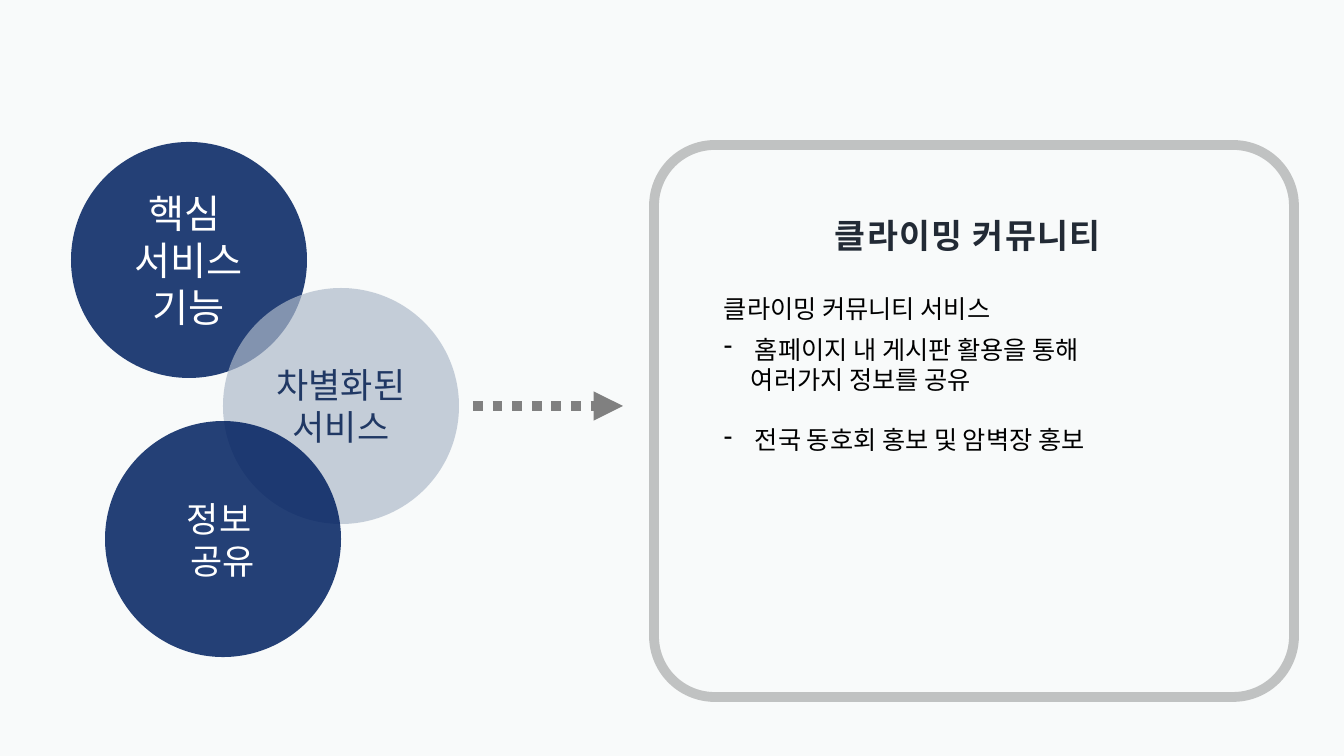
"""Build the climbing community service slide."""
from lxml import etree
from pptx import Presentation
from pptx.dml.color import RGBColor
from pptx.enum.dml import MSO_LINE
from pptx.enum.shapes import MSO_CONNECTOR, MSO_SHAPE
from pptx.enum.text import MSO_ANCHOR, PP_ALIGN
from pptx.oxml.ns import qn
from pptx.util import Emu, Pt

FONT = "Noto Sans CJK KR"
OVAL = MSO_SHAPE.OVAL
ROUNDED = MSO_SHAPE.ROUNDED_RECTANGLE
STRAIGHT = MSO_CONNECTOR.STRAIGHT
DOTTED = MSO_LINE.ROUND_DOT
MIDDLE = MSO_ANCHOR.MIDDLE
TOP = MSO_ANCHOR.TOP
LEFT = PP_ALIGN.LEFT
CENTER = PP_ALIGN.CENTER

NAVY = "002060"
GRAY = "808080"
CIRCLE_SIZE = 236
BULLET_INDENT = 31
CONTINUATION_INDENT = 27


def px(length):
    """Turn slide pixels into EMU."""
    return Emu(round(length * 12192000 / 1344))


def color(hex_code):
    """Turn a hex string into a colour."""
    return RGBColor.from_string(hex_code)


def paint(fill, hex_code, opacity=100):
    """Give a fill a solid colour and an opacity in percent."""
    fill.solid()
    fill.fore_color.rgb = color(hex_code)
    if opacity < 100:
        code = fill._xPr.find(qn("a:solidFill")).find(qn("a:srgbClr"))
        etree.SubElement(code, qn("a:alpha")).set("val", str(opacity * 1000))


def set_indent(para, indent, bullet):
    """Indent a paragraph, hanging a bullet in the indent if one is given."""
    properties = para._p.get_or_add_pPr()
    properties.set("marL", str(px(indent)))
    if bullet:
        properties.set("indent", str(-px(indent)))
        etree.SubElement(properties, qn("a:buChar")).set("char", bullet)


def write(para, text, size=18, ink="000000", bold=False, align=LEFT,
          spacing=0, before=0, indent=0, bullet=None):
    """Write one formatted run into a paragraph."""
    para.alignment = align
    if before:
        para.space_before = Pt(before)
    if indent:
        set_indent(para, indent, bullet)
    span = para.add_run()
    span.text = text
    span.font.size = Pt(size)
    span.font.bold = bold
    span.font.name = FONT
    span.font.color.rgb = color(ink)
    properties = span._r.get_or_add_rPr()
    etree.SubElement(properties, qn("a:ea")).set("typeface", FONT)
    if spacing:
        properties.set("spc", str(spacing * 100))


def fill_frame(frame, lines, anchor=TOP, **shared):
    """Write (text, format) lines into a text frame."""
    frame.word_wrap = True
    frame.vertical_anchor = anchor
    for number, (text, own) in enumerate(lines):
        para = frame.add_paragraph() if number else frame.paragraphs[0]
        write(para, text, **shared, **own)


def add_text(page, left, top, width, height, lines, **shared):
    """Add a wrapping text box."""
    box = page.shapes.add_textbox(px(left), px(top), px(width), px(height))
    fill_frame(box.text_frame, lines, **shared)


def add_circle(page, left, top, fill, opacity, texts, size, ink):
    """Add a translucent circle with a centred label."""
    circle = page.shapes.add_shape(
        OVAL, px(left), px(top), px(CIRCLE_SIZE), px(CIRCLE_SIZE))
    circle.shadow.inherit = False
    paint(circle.fill, fill, opacity)
    circle.line.fill.background()
    fill_frame(circle.text_frame, [(text, {}) for text in texts],
               anchor=MIDDLE, size=size, ink=ink, align=CENTER)


def add_panel(page, left, top, width, height):
    """Add the rounded outline around the community text."""
    panel = page.shapes.add_shape(
        ROUNDED, px(left), px(top), px(width), px(height))
    panel.shadow.inherit = False
    panel.adjustments[0] = 0.11
    panel.fill.background()
    panel.line.width = Pt(7)
    paint(panel.line.fill, GRAY, 46)


def add_arrow(page, start, end, middle):
    """Add a horizontal dotted arrow."""
    arrow = page.shapes.add_connector(
        STRAIGHT, px(start), px(middle), px(end), px(middle))
    arrow.line.width = Pt(7)
    arrow.line.color.rgb = color(GRAY)
    arrow.line.dash_style = DOTTED
    line = arrow.line._get_or_add_ln()
    etree.SubElement(line, qn("a:tailEnd")).set("type", "triangle")
    etree.SubElement(arrow._element.spPr, qn("a:effectLst"))


def main():
    """Build and save the deck."""
    deck = Presentation()
    deck.slide_width, deck.slide_height = px(1344), px(756)
    page = deck.slides.add_slide(deck.slide_layouts[6])
    paint(page.background.fill, "F8FAFA")

    add_text(page, 825, 210, 385, 50, [("클라이밍 커뮤니티", {})],
             size=24, ink="222A35", bold=True, spacing=1)
    add_panel(page, 654, 145, 640, 552)

    add_circle(page, 71, 142, NAVY, 85, ["핵심 ", "서비스 기능"], 28, "FFFFFF")
    add_circle(page, 223, 288, "ADB9CA", 69, ["차별화된 서비스"], 25, "203864")
    add_circle(page, 105, 421, NAVY, 85, ["정보 ", "공유"], 25, "FFFFFF")
    add_arrow(page, 473, 623, 406)

    add_text(page, 714, 288, 525, 40, [("클라이밍 커뮤니티 서비스", {})])
    bulleted = {"indent": BULLET_INDENT, "bullet": "-"}
    add_text(page, 714, 329, 525, 132, [
        ("홈페이지 내 게시판 활용을 통해", bulleted),
        ("여러가지 정보를 공유", {"indent": CONTINUATION_INDENT}),
        ("전국 동호회 홍보 및 암벽장 홍보", {**bulleted, "before": 21.5}),
    ])
    deck.save("out.pptx")


if __name__ == "__main__":
    main()
